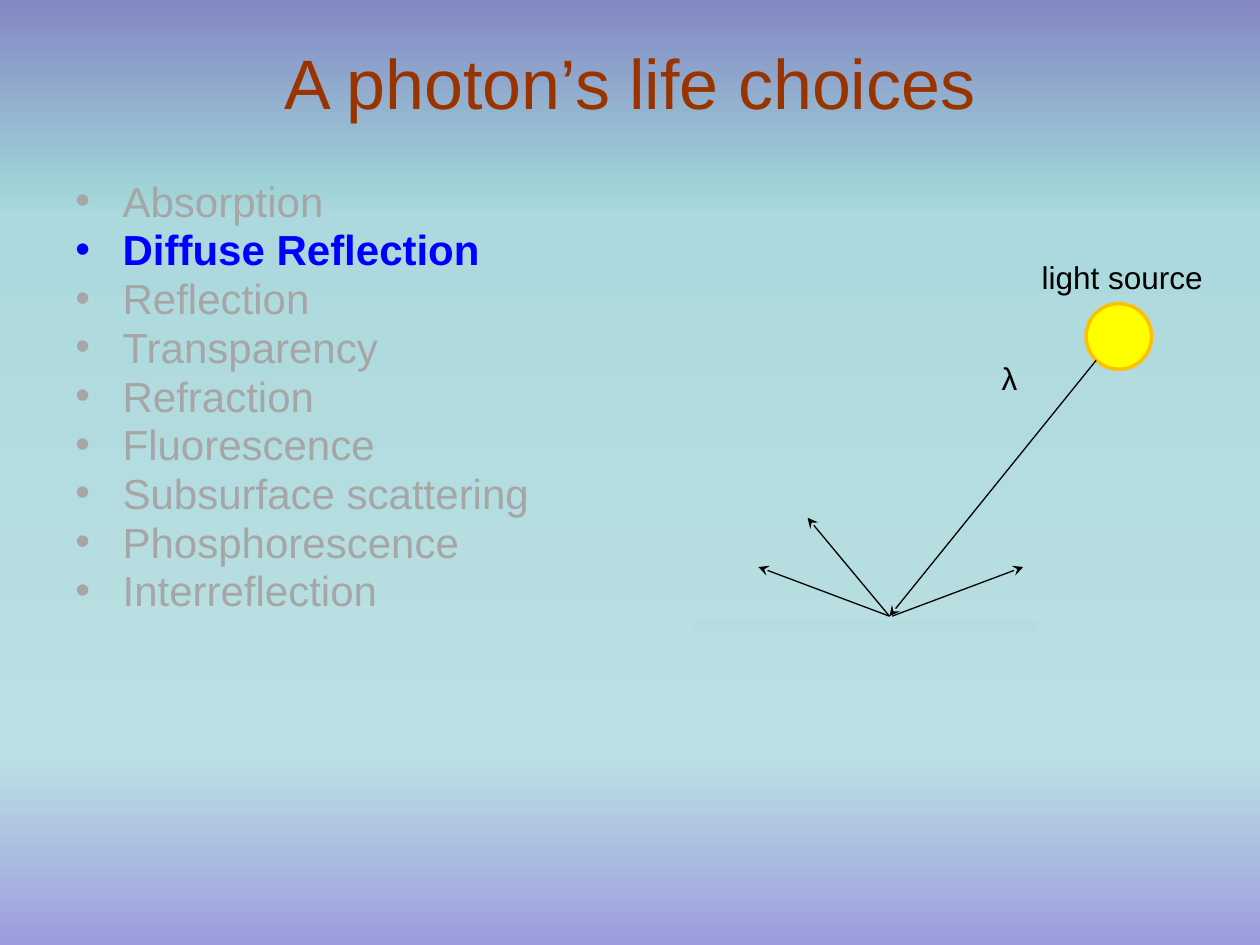
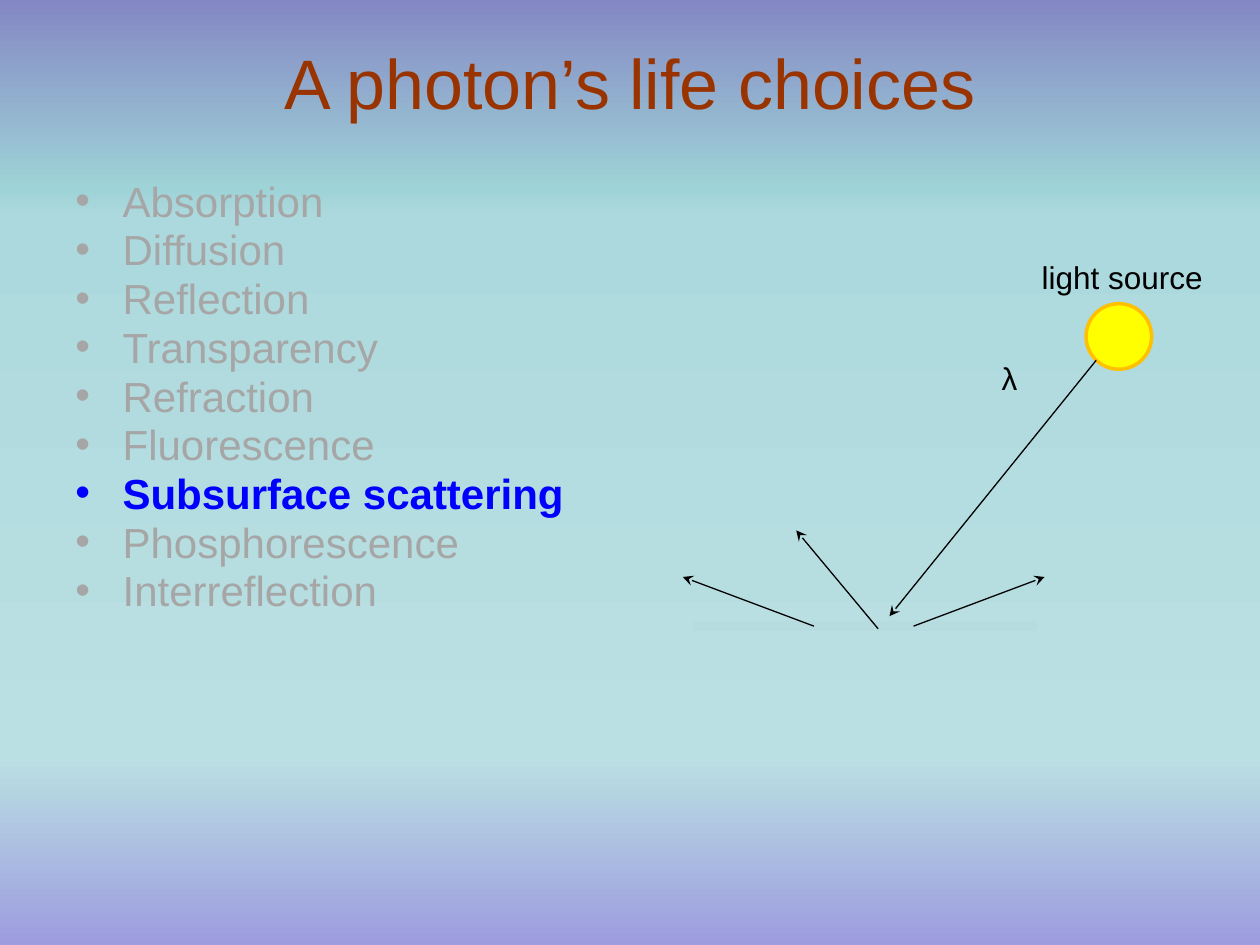
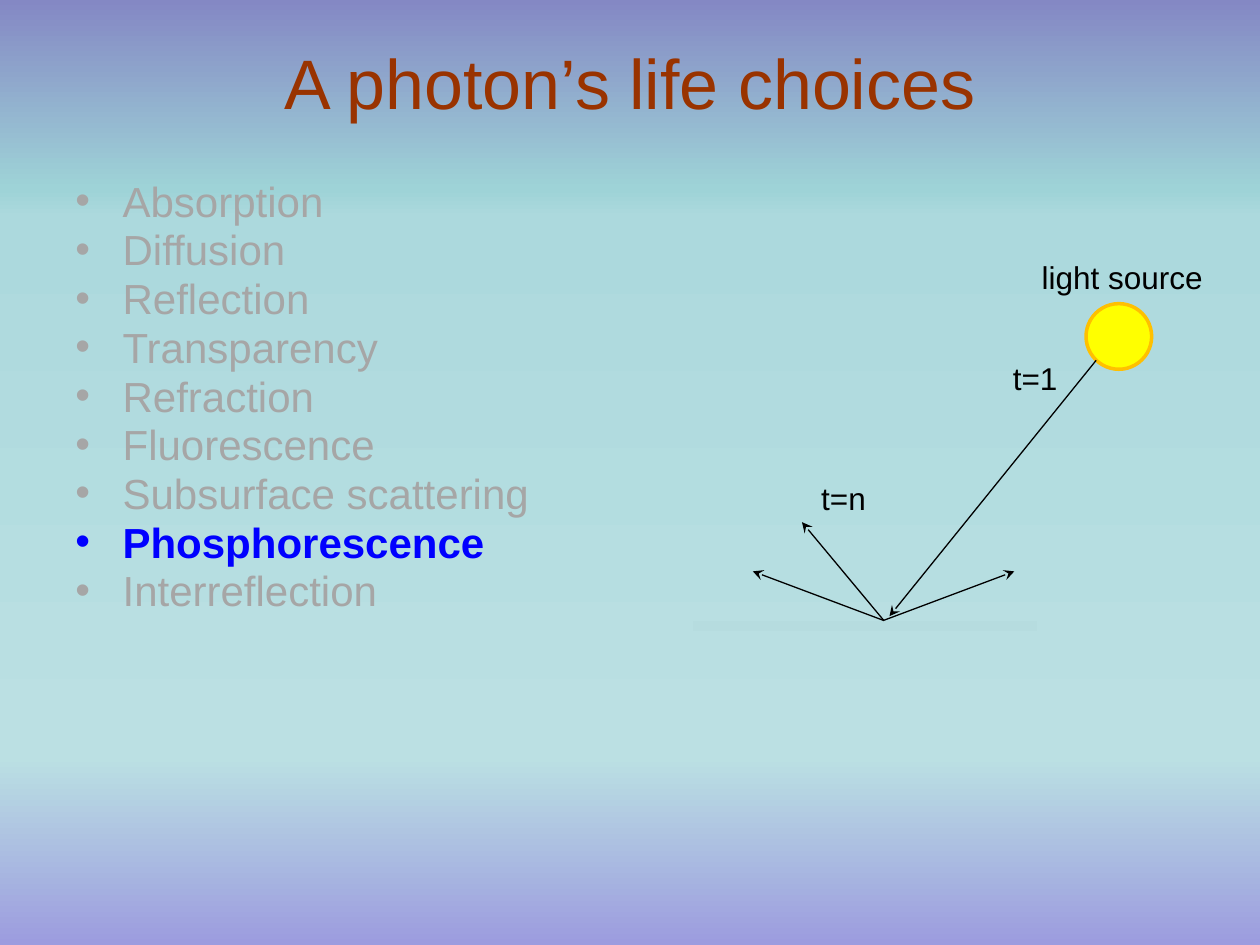
from dataclasses import dataclass

from lxml import etree
from pptx import Presentation
from pptx.dml.color import RGBColor as RGB
from pptx.enum.shapes import MSO_CONNECTOR as CONN, MSO_SHAPE as SHAPE
from pptx.enum.text import MSO_ANCHOR as ANCHOR, MSO_AUTO_SIZE as FIT, PP_ALIGN as ALIGN
from pptx.oxml import parse_xml
from pptx.oxml.ns import nsdecls, qn
from pptx.util import Pt


@dataclass(frozen=True)
class Theme:
    font: str = "Arial"
    title_size: int = 40
    body_size: int = 24
    label_size: int = 18
    title: str = "993300"
    muted: str = "A6A6A6"
    active: str = "0000FF"
    ink: str = "000000"
    surface: str = "B6DCDF"
    sun: str = "FFFF00"
    sun_edge: str = "FFC000"
    sky: tuple = ((0, "8488C4"), (20, "9ED3D7"), (23, "ACD9DD"), (80, "BBE0E3"), (100, "9C9CDF"))


T = Theme()


def add_text(s, box, lines, size, wrap=True):
    tf = s.shapes.add_textbox(*map(Pt, box)).text_frame
    tf.word_wrap = wrap
    for i, (text, color, bold) in enumerate(lines):
        p = tf.paragraphs[0] if i == 0 else tf.add_paragraph()
        r = p.add_run()
        r.text = text
        fmt = {"name": T.font, "size": Pt(size), "bold": bold}
        for key, value in fmt.items():
            setattr(r.font, key, value)
        r.font.color.rgb = RGB.from_string(color)
    return tf


def add_line(s, start, end, color=T.ink, width=0.75, arrow=True):
    c = s.shapes.add_connector(CONN.STRAIGHT, *map(Pt, (*start, *end)))
    c.line.color.rgb = RGB.from_string(color)
    c.line.width = Pt(width)
    if arrow:
        etree.SubElement(c.line._get_or_add_ln(), qn("a:tailEnd"), type="stealth")
    etree.SubElement(c._element.spPr, qn("a:effectLst"))


prs = Presentation()
prs.slide_width, prs.slide_height = Pt(720), Pt(540)

master = prs.slide_master
fill = master.background.fill
fill.gradient()
fill.gradient_angle = 270
stops = next(master.element.iter(qn("a:gsLst")))
for stop in list(stops):
    stops.remove(stop)
for pos, color in T.sky:
    stop = etree.SubElement(stops, qn("a:gs"), pos=str(pos * 1000))
    etree.SubElement(stop, qn("a:srgbClr"), val=color)

later_choices = ["Reflection", "Transparency", "Refraction", "Fluorescence",
                 "Subsurface scattering", "Phosphorescence", "Interreflection"]
ray_offsets = [(-46.8, -56.2), (-74.9, -28.1), (74.9, -28.1)]
source_label = ("light source", (588.2, 144, 108, 30.2))
wave_label = ("λ", (565.2, 201.6, 36.7, 45.4))
slides = [
    ("Diffuse Reflection", "Diffuse Reflection",
     [(508.3, 352.1), (508.3, 352.1), (509.8, 352.1)],
     [wave_label]),
    ("Diffusion", "Subsurface scattering",
     [(501.8, 359.3), (465.1, 357.8), (522, 357.8)],
     [wave_label]),
    ("Diffusion", "Phosphorescence",
     [(505.1, 354.6), (505.1, 354.6), (504.7, 354.6)],
     [("t=1", (571.7, 201.6, 40.3, 28.8)), ("t=n", (462.2, 270, 40.3, 28.8))]),
]

for diffuse_name, active, origins, labels in slides:
    s = prs.slides.add_slide(prs.slide_layouts[6])

    tf = add_text(s, (36, 21.6, 648, 50.4),
                  [("A photon’s life choices", T.title, False)], T.title_size)
    tf.vertical_anchor = ANCHOR.MIDDLE
    tf.paragraphs[0].alignment = ALIGN.CENTER

    choices = [(name, T.active if name == active else T.muted, name == active)
               for name in ["Absorption", diffuse_name, *later_choices]]
    tf = add_text(s, (36, 102.2, 648, 275.8), choices, T.body_size)
    for i, (p, (name, color, bold)) in enumerate(zip(tf.paragraphs, choices)):
        p.line_spacing = 0.8
        pPr = p._p.get_or_add_pPr()
        pPr.set("marL", str(Pt(27)))
        pPr.set("indent", str(-Pt(27)))
        gap = '<a:spcBef><a:spcPct val="20000"/></a:spcBef>' if i else ""
        bullet = parse_xml(
            f'<a:pPr {nsdecls("a")}>{gap}<a:buClr><a:srgbClr val="{color}"/></a:buClr>'
            f'<a:buFont typeface="{T.font}"/><a:buChar char="•"/></a:pPr>')
        pPr.extend(list(bullet))

    add_line(s, (396, 357.8), (592.6, 357.8), T.surface, 6, arrow=False)

    sp = s.shapes.add_shape(SHAPE.OVAL, Pt(620.6), Pt(173.5), Pt(37.5), Pt(37.5))
    sp.shadow.inherit = False
    sp.fill.solid()
    sp.fill.fore_color.rgb = RGB.from_string(T.sun)
    sp.line.color.rgb = RGB.from_string(T.sun_edge)
    sp.line.width = Pt(2)

    add_line(s, (626.4, 205.9), (508.3, 352.1))
    for (x, y), (dx, dy) in zip(origins, ray_offsets):
        add_line(s, (x, y), (x + dx, y + dy))

    for text, box in [source_label, *labels]:
        tf = add_text(s, box, [(text, T.ink, False)], T.label_size)
        tf.auto_size = FIT.SHAPE_TO_FIT_TEXT

prs.save("out.pptx")
